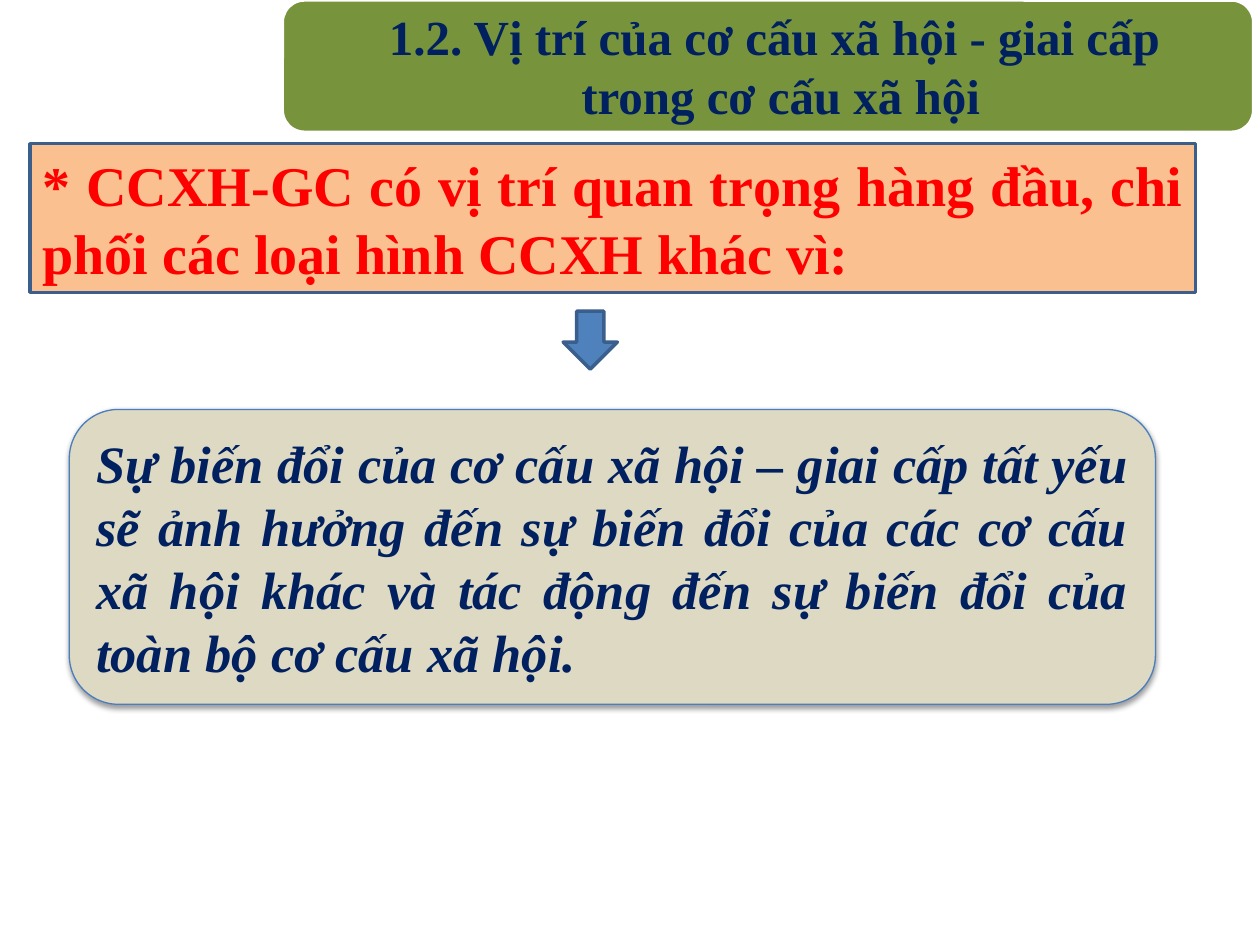
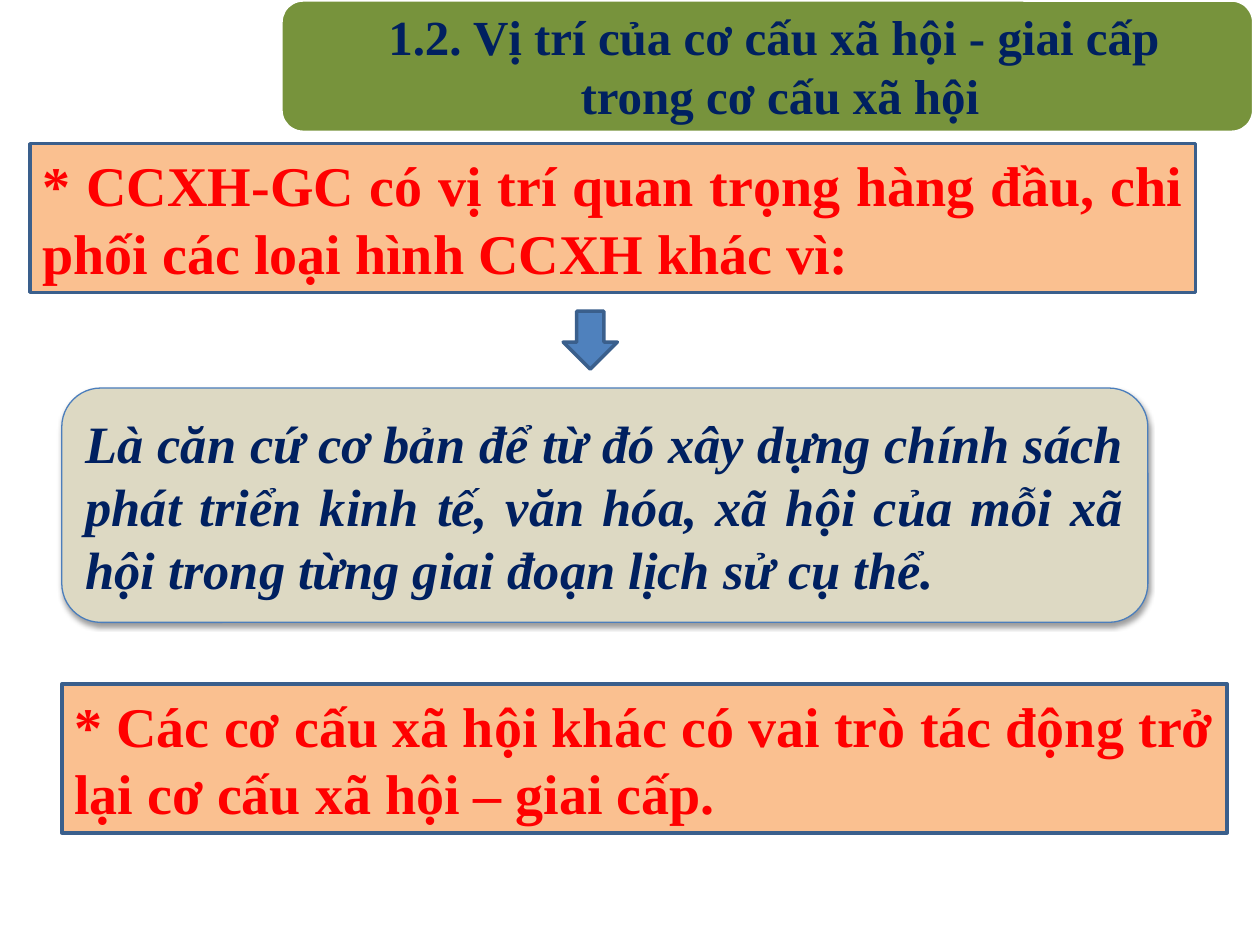
from lxml import etree
from pptx import Presentation
from pptx.dml.color import RGBColor
from pptx.enum.shapes import MSO_SHAPE as SHAPE
from pptx.enum.text import MSO_ANCHOR as ANCHOR, MSO_AUTO_SIZE as AUTO, PP_ALIGN as ALIGN
from pptx.oxml.ns import qn
from pptx.util import Inches, Pt

FONT = "Times New Roman"
NAVY, RED, WHITE = "002060", "FF0000", "FFFFFF"
GREEN, PEACH, SAND = "77933C", "FAC090", "DDD9C3"
BLUE, BLUE_EDGE, SAND_EDGE = "4F81BD", "3A5F8C", "4B7EBC"
HEADING = ["1.2. Vị trí của cơ cấu xã hội - giai cấp ", "trong cơ cấu xã hội"]
CLAIM = "* CCXH-GC có vị trí quan trọng hàng đầu, chi phối các loại hình CCXH khác vì:"
CLAIM_SIZE = (9.25, 1.18)


def color(hex_text):
    """Turn a hex string into a colour."""
    return RGBColor.from_string(hex_text)


def add_block(s, kind, box, fill, edge, width=2):
    """Add a filled, outlined shape without a shadow."""
    sp = s.shapes.add_shape(kind, *map(Inches, box))
    sp.shadow.inherit = False
    sp.fill.solid()
    sp.fill.fore_color.rgb = color(fill)
    sp.line.color.rgb = color(edge)
    sp.line.width = Pt(width)
    return sp


def write(sp, lines, size, ink, align, italic=False):
    """Write bold lines, one paragraph each, centred vertically in a shape."""
    tf = sp.text_frame
    tf.word_wrap = True
    tf.auto_size = AUTO.NONE
    tf.vertical_anchor = ANCHOR.MIDDLE
    for i, line in enumerate(lines):
        p = tf.add_paragraph() if i else tf.paragraphs[0]
        p.alignment = align
        r = p.add_run()
        r.text = line
        r.font.name = FONT
        r.font.size = Pt(size)
        r.font.bold = True
        r.font.italic = italic
        r.font.color.rgb = color(ink)


def add_soft_shadow(sp):
    """Give a shape a soft shadow that falls straight down."""
    effects = sp.element.spPr.find(qn("a:effectLst"))
    shadow = etree.SubElement(effects, qn("a:outerShdw"), blurRad="40000", dist="20000",
                              dir="5400000", rotWithShape="0")
    ink = etree.SubElement(shadow, qn("a:srgbClr"), val="000000")
    etree.SubElement(ink, qn("a:alpha"), val="38000")


def add_heading(s, box):
    """Draw the green band and lay the slide title over it."""
    left, top, width, height = box
    add_block(s, SHAPE.ROUNDED_RECTANGLE, box, GREEN, WHITE)
    title = s.shapes.title
    title.left, title.top = Inches(left + 0.15), Inches(top + 0.05)
    title.width, title.height = Inches(width - 0.1), Inches(height - 0.11)
    write(title, HEADING, 28, NAVY, ALIGN.CENTER)
    tf = title.text_frame
    tf.margin_left = tf.margin_right = Inches(0.24)
    tf.margin_top = tf.margin_bottom = 0
    s.shapes.element.append(title.element)


def add_claim(s, left, top, text):
    """Add a peach box with a red statement."""
    sp = add_block(s, SHAPE.RECTANGLE, (left, top, *CLAIM_SIZE), PEACH, BLUE_EDGE)
    write(sp, [text], 32, RED, ALIGN.JUSTIFY)


def add_reason(s, box, text):
    """Add a rounded sand box with an italic explanation."""
    sp = add_block(s, SHAPE.ROUNDED_RECTANGLE, box, SAND, SAND_EDGE, 0.75)
    add_soft_shadow(sp)
    write(sp, [text], 30, NAVY, ALIGN.JUSTIFY, italic=True)


def add_reason_slide(prs, heading_left, reason_box, reason):
    """Add a slide leading from the main claim down to one reason."""
    s = prs.slides.add_slide(prs.slide_layouts[5])
    add_heading(s, (heading_left, 0, 9.95 - heading_left, 1.05))
    add_claim(s, 0.24, 1.14, CLAIM)
    add_block(s, SHAPE.DOWN_ARROW, (4.47, 2.47, 0.43, 0.46), BLUE, BLUE_EDGE)
    add_reason(s, reason_box, reason)
    return s


def main():
    """Build and save both slides."""
    prs = Presentation()
    prs.slide_width, prs.slide_height = Inches(10), Inches(7.5)
    add_reason_slide(
        prs, 2.24, (0.55, 3.25, 8.62, 2.34),
        "Sự biến đổi của cơ cấu xã hội – giai cấp tất yếu sẽ ảnh hưởng đến sự biến đổi "
        "của các cơ cấu xã hội khác và tác động đến sự biến đổi của toàn bộ cơ cấu xã hội.")
    s = add_reason_slide(
        prs, 2.23, (0.49, 3.08, 8.62, 1.86),
        "Là căn cứ cơ bản để từ đó xây dựng chính sách phát triển kinh tế, văn hóa, xã hội "
        "của mỗi xã hội trong từng giai đoạn lịch sử cụ thể.")
    add_claim(s, 0.49, 5.43,
              "* Các cơ cấu xã hội khác có vai trò tác động trở lại cơ cấu xã hội – giai cấp.")
    prs.save("out.pptx")


if __name__ == "__main__":
    main()
